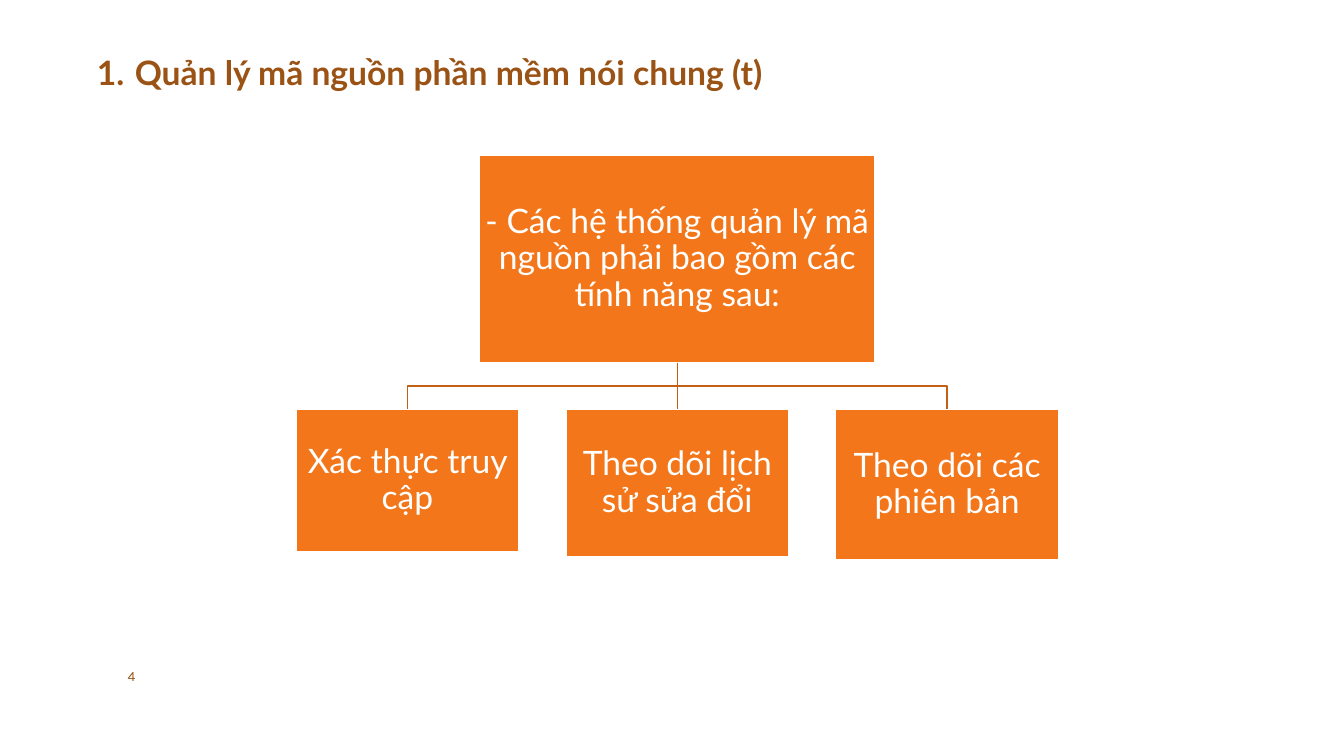
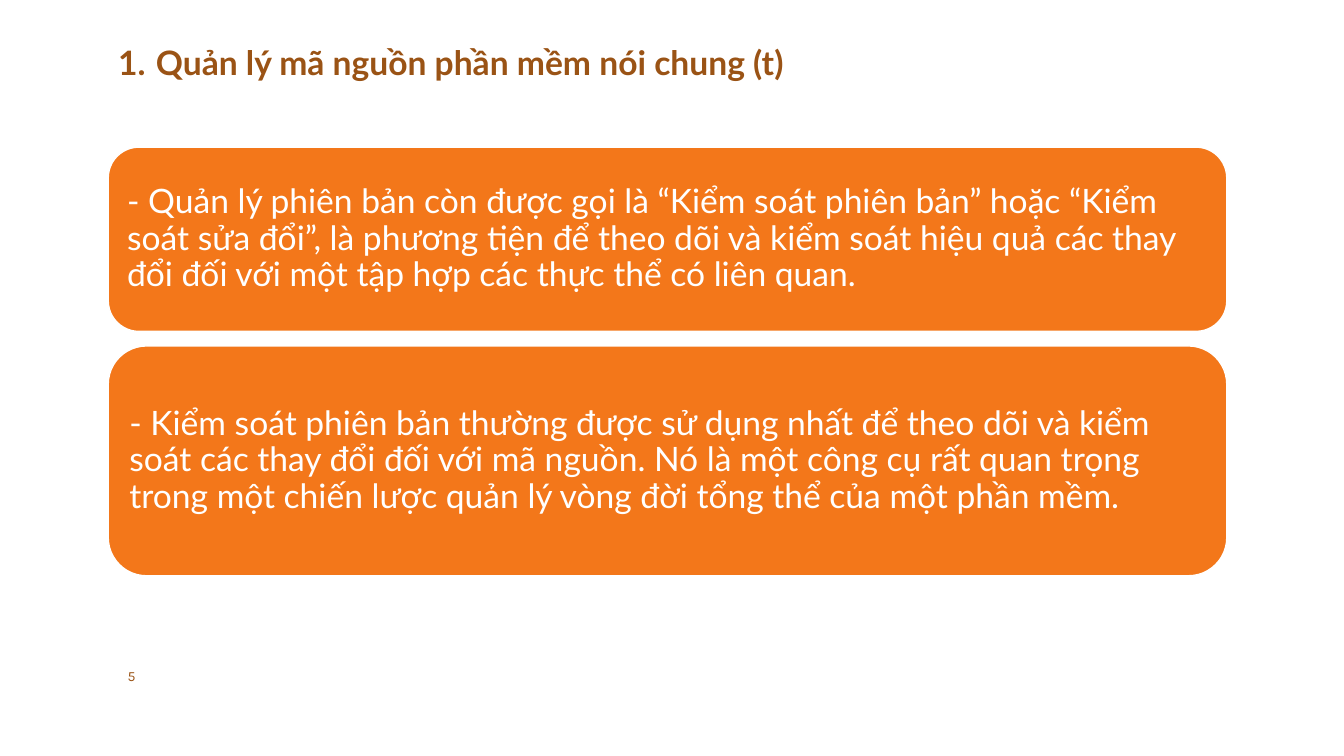
from lxml.etree import SubElement
from pptx import Presentation
from pptx.dml.color import RGBColor
from pptx.enum.lang import MSO_LANGUAGE_ID
from pptx.enum.shapes import MSO_CONNECTOR, MSO_SHAPE
from pptx.enum.text import MSO_ANCHOR, PP_ALIGN
from pptx.oxml.ns import qn
from pptx.util import Pt

ORANGE, BROWN, RUST, WHITE = "F3771A", "9A5315", "C35F15", "FFFFFF"
BODY_FONT, NUMBER_FONT = "Lato", "Karla"
TITLE = "Quản lý mã nguồn phần mềm nói chung (t)"
TOP, BOTTOM = 0, 2


def color(hex_code):
    """Return the colour for a hex string."""
    return RGBColor.from_string(hex_code)


def write(shape, text, size=24, font=BODY_FONT, ink=WHITE, bold=False,
          align=PP_ALIGN.LEFT, anchor=MSO_ANCHOR.MIDDLE, spacing=None, inset=None):
    """Write formatted text into a shape and return its paragraph."""
    frame = shape.text_frame
    frame.word_wrap = True
    frame.vertical_anchor = anchor
    if inset is not None:
        frame.margin_left = frame.margin_right = Pt(inset)
        frame.margin_top = frame.margin_bottom = Pt(inset)
    paragraph = frame.paragraphs[0]
    paragraph.alignment = align
    if spacing:
        paragraph.line_spacing = spacing
    run = paragraph.add_run()
    run.text = text
    run.font.size, run.font.name, run.font.bold = Pt(size), font, bold
    run.font.color.rgb = color(ink)
    run.font.language_id = MSO_LANGUAGE_ID.VIETNAMESE
    return paragraph


def outline(shape, ink):
    """Give a shape or connector a thin line."""
    shape.line.color.rgb = color(ink)
    shape.line.width = Pt(1)


def add_card(slide, preset, box, text, **text_format):
    """Add an orange card with a thin white outline."""
    card = slide.shapes.add_shape(preset, *map(Pt, box))
    card.shadow.inherit = False
    card.fill.solid()
    card.fill.fore_color.rgb = color(ORANGE)
    outline(card, WHITE)
    write(card, text, spacing=0.9, **text_format)
    return card


def add_trunk(slide, root, feature):
    """Join the root card straight down to the feature card below it."""
    trunk = slide.shapes.add_connector(MSO_CONNECTOR.STRAIGHT, 0, 0, 0, 0)
    trunk.begin_connect(root, BOTTOM)
    trunk.end_connect(feature, TOP)
    outline(trunk, RUST)
    SubElement(trunk._element.spPr, qn("a:effectLst"))


def add_branch(slide, x1, y1, x2, y2):
    """Draw a branch that goes down, across and down again."""
    middle = (y1 + y2) / 2
    builder = slide.shapes.build_freeform(Pt(x1), Pt(y1))
    builder.add_line_segments(
        [(Pt(x), Pt(y)) for x, y in ((x1, middle), (x2, middle), (x2, y2))],
        close=False)
    branch = builder.convert_to_shape()
    branch.shadow.inherit = False
    branch.fill.background()
    outline(branch, RUST)


def add_title(slide, left, top):
    """Add the numbered heading."""
    heading = slide.shapes.add_textbox(Pt(left), Pt(top), Pt(564.5), Pt(36))
    paragraph = write(heading, TITLE, ink=BROWN, bold=True, anchor=MSO_ANCHOR.TOP)
    properties = paragraph._p.get_or_add_pPr()
    properties.set("marL", str(Pt(27)))
    properties.set("indent", str(-Pt(27)))
    SubElement(properties, qn("a:buFont"), typeface=BODY_FONT)
    SubElement(properties, qn("a:buAutoNum"), type="arabicPeriod")


def add_page_number(slide, number):
    """Add the page number at the bottom left."""
    footer = slide.shapes.add_textbox(Pt(84), Pt(473.8), Pt(60), Pt(18))
    write(footer, str(number), size=10, font=NUMBER_FONT, ink=BROWN)


def add_tree(slide, box, root_text, features):
    """Add a root card above a row of feature cards given as text and height."""
    left, top, width, height = box
    root_width, root_height, feature_width, tallest = 282.2, 148, 159, 107.3
    center = left + width / 2
    root_bottom, row_top = top + root_height, top + height - tallest
    pitch = (width - feature_width) / (len(features) - 1)
    card_format = {"align": PP_ALIGN.CENTER, "inset": 1.2}

    root = add_card(slide, MSO_SHAPE.RECTANGLE,
                    (center - root_width / 2, top, root_width, root_height),
                    root_text, **card_format)
    for index, (text, feature_height) in enumerate(features):
        feature_left = left + index * pitch
        x = feature_left + feature_width / 2
        feature = add_card(slide, MSO_SHAPE.RECTANGLE,
                           (feature_left, row_top, feature_width, feature_height),
                           text, **card_format)
        if x == center:
            add_trunk(slide, root, feature)
        else:
            add_branch(slide, center, root_bottom, x, row_top)


def add_statements(slide, box, gap, statements):
    """Stack rounded statement cards given as text and share of the height."""
    left, top, width, height = box
    free_height = height - gap * (len(statements) - 1)
    for text, share in statements:
        card_height = free_height * share
        add_card(slide, MSO_SHAPE.ROUNDED_RECTANGLE,
                 (left, top, width, card_height), text, inset=7.2)
        top += card_height + gap


def new_slide(deck, number, title_left, title_top):
    """Add a blank slide with the shared heading and page number."""
    slide = deck.slides.add_slide(deck.slide_layouts[6])
    add_page_number(slide, number)
    add_title(slide, title_left, title_top)
    return slide


def main():
    """Build and save the deck."""
    deck = Presentation()
    deck.slide_width, deck.slide_height = Pt(960), Pt(540)

    features_slide = new_slide(deck, 4, 62.2, 33.4)
    add_tree(features_slide, (211.5, 111, 544.5, 288.8),
             "- Các hệ thống quản lý mã nguồn phải bao gồm các tính năng sau:",
             [("Xác thực truy cập", 101.5),
              ("Theo dõi lịch sử sửa đổi", 105),
              ("Theo dõi các phiên bản", 107.3)])

    versions_slide = new_slide(deck, 5, 77.3, 26.6)
    add_statements(versions_slide, (77.3, 105.1, 799, 306.2), 10.4, [
        ("- Quản lý phiên bản còn được gọi là “Kiểm soát phiên bản” hoặc “Kiểm soát "
         "sửa đổi”, là phương tiện để theo dõi và kiểm soát hiệu quả các thay đổi "
         "đối với một tập hợp các thực thể có liên quan.", 0.445),
        ("- Kiểm soát phiên bản thường được sử dụng nhất để theo dõi và kiểm soát "
         "các thay đổi đối với mã nguồn. Nó là một công cụ rất quan trọng trong một "
         "chiến lược quản lý vòng đời tổng thể của một phần mềm.", 0.555)])

    deck.save("out.pptx")


if __name__ == "__main__":
    main()
